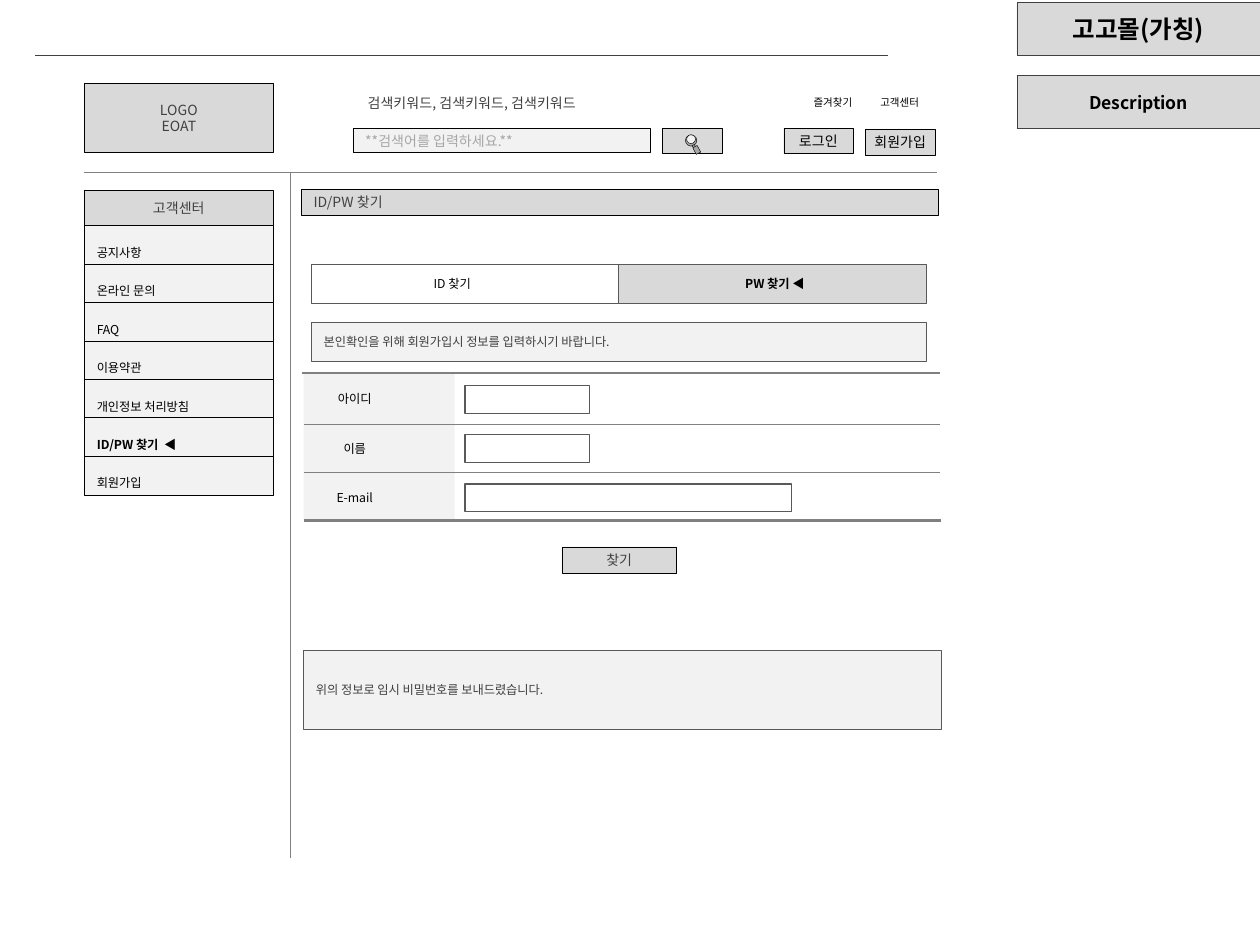
"""Build the wireframe slide of the ID/PW search page."""
from dataclasses import dataclass
from typing import Any

from lxml import etree
from pptx import Presentation
from pptx.dml.color import RGBColor
from pptx.enum.shapes import MSO_CONNECTOR, MSO_SHAPE
from pptx.enum.text import MSO_ANCHOR, MSO_AUTO_SIZE, PP_ALIGN
from pptx.oxml.ns import qn
from pptx.util import Inches, Pt

RECT, OVAL = MSO_SHAPE.RECTANGLE, MSO_SHAPE.OVAL
STRAIGHT = MSO_CONNECTOR.STRAIGHT
LEFT, CENTER = PP_ALIGN.LEFT, PP_ALIGN.CENTER
MIDDLE = MSO_ANCHOR.MIDDLE
FIT, NO_FIT = MSO_AUTO_SIZE.SHAPE_TO_FIT_TEXT, MSO_AUTO_SIZE.NONE
FONT = "Noto Sans CJK KR"
COLORS = {
    "black": "000000", "dark": "404040", "edge": "595959", "rule": "808080",
    "hint": "A6A6A6", "gray": "D9D9D9", "pale": "F2F2F2", "white": "FFFFFF",
}


@dataclass
class Style:
    """Look of a piece of text."""
    size: float = 8
    color: str = "dark"
    bold: bool = False
    align: Any = CENTER
    spacing: float = 1


@dataclass
class Box:
    """A filled or outlined shape with optional text."""
    x: float
    y: float
    w: float
    h: float
    fill: str | None = "gray"
    line: str | None = "black"
    text: str = ""
    style: Style | None = None
    weight: float = 0.25
    inset: float | None = None
    kind: Any = RECT
    turn: float = 0


@dataclass
class Label:
    """A free text box."""
    x: float
    y: float
    w: float
    h: float
    text: str
    style: Style
    wrap: bool = True


@dataclass
class Rule:
    """A straight line."""
    x1: float
    y1: float
    x2: float
    y2: float
    color: str = "rule"
    weight: float = 0.25


def rgb(name: str) -> RGBColor:
    """Return the named colour."""
    return RGBColor.from_string(COLORS[name])


def write(tf: Any, text: str, style: Style) -> None:
    """Write each line of text as a formatted paragraph."""
    for i, words in enumerate(text.split("\n")):
        p = tf.add_paragraph() if i else tf.paragraphs[0]
        p.alignment = style.align
        if style.spacing != 1:
            p.line_spacing = style.spacing
        r = p.add_run()
        r.text = words
        r.font.size = Pt(style.size)
        r.font.bold = style.bold
        r.font.color.rgb = rgb(style.color)
        r.font.name = FONT
        etree.SubElement(r.font._element, qn("a:ea")).set("typeface", FONT)


def paint(sp: Any, box: Box) -> None:
    """Apply fill, outline and text to a shape."""
    if box.fill:
        sp.fill.solid()
        sp.fill.fore_color.rgb = rgb(box.fill)
    else:
        sp.fill.background()
    if box.line:
        sp.line.color.rgb = rgb(box.line)
        sp.line.width = Pt(box.weight)
    else:
        sp.line.fill.background()
    if box.text:
        tf = sp.text_frame
        tf.word_wrap = True
        tf.vertical_anchor = MIDDLE
        if box.inset is not None:
            tf.margin_left = tf.margin_right = Inches(box.inset)
            tf.margin_top = tf.margin_bottom = Inches(box.inset)
        write(tf, box.text, box.style)


def draw_box(shapes: Any, box: Box) -> None:
    """Add a preset shape."""
    sp = shapes.add_shape(box.kind, Inches(box.x), Inches(box.y), Inches(box.w), Inches(box.h))
    sp.shadow.inherit = False
    sp.rotation = box.turn
    paint(sp, box)


def draw_label(shapes: Any, label: Label) -> None:
    """Add a text box."""
    sp = shapes.add_textbox(Inches(label.x), Inches(label.y), Inches(label.w), Inches(label.h))
    tf = sp.text_frame
    tf.word_wrap = label.wrap
    tf.auto_size = FIT
    write(tf, label.text, label.style)


def draw_rule(shapes: Any, rule: Rule) -> None:
    """Add a line without shadow."""
    cxn = shapes.add_connector(
        STRAIGHT, Inches(rule.x1), Inches(rule.y1), Inches(rule.x2), Inches(rule.y2))
    cxn.line.color.rgb = rgb(rule.color)
    cxn.line.width = Pt(rule.weight)
    etree.SubElement(cxn._element.spPr, qn("a:effectLst"))


def draw_title(s: Any, box: Box) -> None:
    """Place and format the title placeholder."""
    sp = s.shapes.title
    sp.left, sp.top = Inches(box.x), Inches(box.y)
    sp.width, sp.height = Inches(box.w), Inches(box.h)
    paint(sp, box)
    sp.text_frame.auto_size = NO_FIT


def draw_description(shapes: Any, box: Box) -> None:
    """Add the one-cell description table."""
    table = shapes.add_table(
        1, 1, Inches(box.x), Inches(box.y), Inches(box.w), Inches(box.h)).table
    cell = table.cell(0, 0)
    cell.vertical_anchor = MIDDLE
    write(cell.text_frame, box.text, box.style)
    tc_pr = cell._tc.get_or_add_tcPr()
    for side in ("a:lnL", "a:lnR", "a:lnT", "a:lnB"):
        ln = etree.SubElement(tc_pr, qn(side), w=str(Pt(box.weight)))
        fill = etree.SubElement(ln, qn("a:solidFill"))
        etree.SubElement(fill, qn("a:srgbClr"), val=COLORS[box.line])
    cell.fill.solid()
    cell.fill.fore_color.rgb = rgb(box.fill)


def main() -> None:
    """Draw the slide and save it."""
    prs = Presentation()
    prs.slide_width, prs.slide_height = Inches(10), Inches(7.5)
    s = prs.slides.add_slide(prs.slide_layouts[5])
    shapes = s.shapes
    heading, left = Style(), Style(align=LEFT)
    button, link = Style(color="black"), Style(6, "black")
    small, small_bold = Style(7, "black"), Style(7, "black", True)
    note = Style(7, align=LEFT)

    draw_title(s, Box(8.07, 0.02, 1.93, 0.42, line="dark", text="고고몰(가칭)",
                      style=Style(14, "black", True)))
    draw_description(shapes, Box(8.07, 0.6, 1.93, 0.42, line="dark", text="Description",
                                 style=Style(10, "black", True)))

    for box in (
        Box(2.41, 2.96, 1.2, 1.17, "pale", None),
        Box(0.67, 0.66, 1.5, 0.55, text="LOGO\nEOAT", style=heading),
        Box(2.8, 1.02, 2.36, 0.19, "pale", text="**검색어를 입력하세요.**",
            style=Style(color="hint", align=LEFT)),
        Box(0.67, 1.51, 1.5, 0.28, text="고객센터", style=heading),
        Box(2.39, 1.5, 5.06, 0.21, text="ID/PW 찾기", style=left),
        Box(2.47, 2.1, 2.44, 0.31, "white", "edge"),
        Box(4.91, 2.1, 2.44, 0.31, "gray", "edge"),
        Box(2.47, 2.56, 4.88, 0.31, "pale", "edge",
            "본인확인을 위해 회원가입시 정보를 입력하시기 바랍니다.", note),
        Box(4.46, 4.34, 0.91, 0.21, text="찾기", style=heading),
        Box(2.41, 5.16, 5.06, 0.63, "pale", "edge",
            "위의 정보로 임시 비밀번호를 보내드렸습니다.", note),
        Box(6.22, 1.02, 0.55, 0.2, text="로그인", style=button, inset=0),
        Box(6.87, 1.03, 0.55, 0.2, text="회원가입", style=button, inset=0),
    ):
        draw_box(shapes, box)

    search = shapes.add_group_shape().shapes
    for box in (
        Box(5.26, 1.02, 0.47, 0.2),
        Box(5.44, 1.07, 0.09, 0.09, "hint", kind=OVAL, turn=332.1),
        Box(5.45, 1.07, 0.07, 0.07, "pale", kind=OVAL, turn=332.1),
        Box(5.5, 1.15, 0.02, 0.03, "hint", turn=332.1),
        Box(5.51, 1.16, 0.04, 0.06, "hint", turn=332.1),
    ):
        draw_box(search, box)

    menu = ("공지사항", "온라인 문의", "FAQ", "이용약관", "개인정보 처리방침",
            "ID/PW 찾기  ◀", "회원가입")
    for i, item in enumerate(menu):
        style = Style(7, "black", "◀" in item, LEFT, 2.0)
        draw_box(shapes, Box(0.67, 1.79 + 0.305 * i, 1.5, 0.31, "pale", text=item, style=style))

    for rule in (
        Rule(0.28, 0.44, 7.05, 0.44, "dark", 0.75),
        Rule(0.67, 1.37, 7.44, 1.37),
        Rule(2.3, 1.37, 2.3, 6.81),
        Rule(2.4, 2.96, 7.46, 2.96, weight=1.5),
        Rule(2.41, 3.37, 7.46, 3.37),
        Rule(2.41, 3.75, 7.46, 3.75),
        Rule(2.41, 4.13, 7.47, 4.13, weight=1.5),
    ):
        draw_rule(shapes, rule)

    for i, (name, width) in enumerate((("아이디", 0.99), ("이름", 0.99), ("E-mail", 2.59))):
        y = 3.06 + 0.39 * i
        draw_box(shapes, Box(3.69, y, width, 0.22, None, "edge", weight=0.75))
        draw_label(shapes, Label(2.54, y, 0.55, 0.22, name, small))

    for label in (
        Label(2.82, 0.7, 2.36, 0.24, "검색키워드, 검색키워드, 검색키워드", left),
        Label(3.21, 2.14, 0.76, 0.22, "ID 찾기", small),
        Label(5.77, 2.14, 0.76, 0.22, "PW 찾기 ◀", small_bold),
        Label(6.34, 0.71, 0.54, 0.2, "즐겨찾기", link, False),
        Label(6.87, 0.71, 0.54, 0.2, "고객센터", link, False),
    ):
        draw_label(shapes, label)

    prs.save("out.pptx")


if __name__ == "__main__":
    main()
